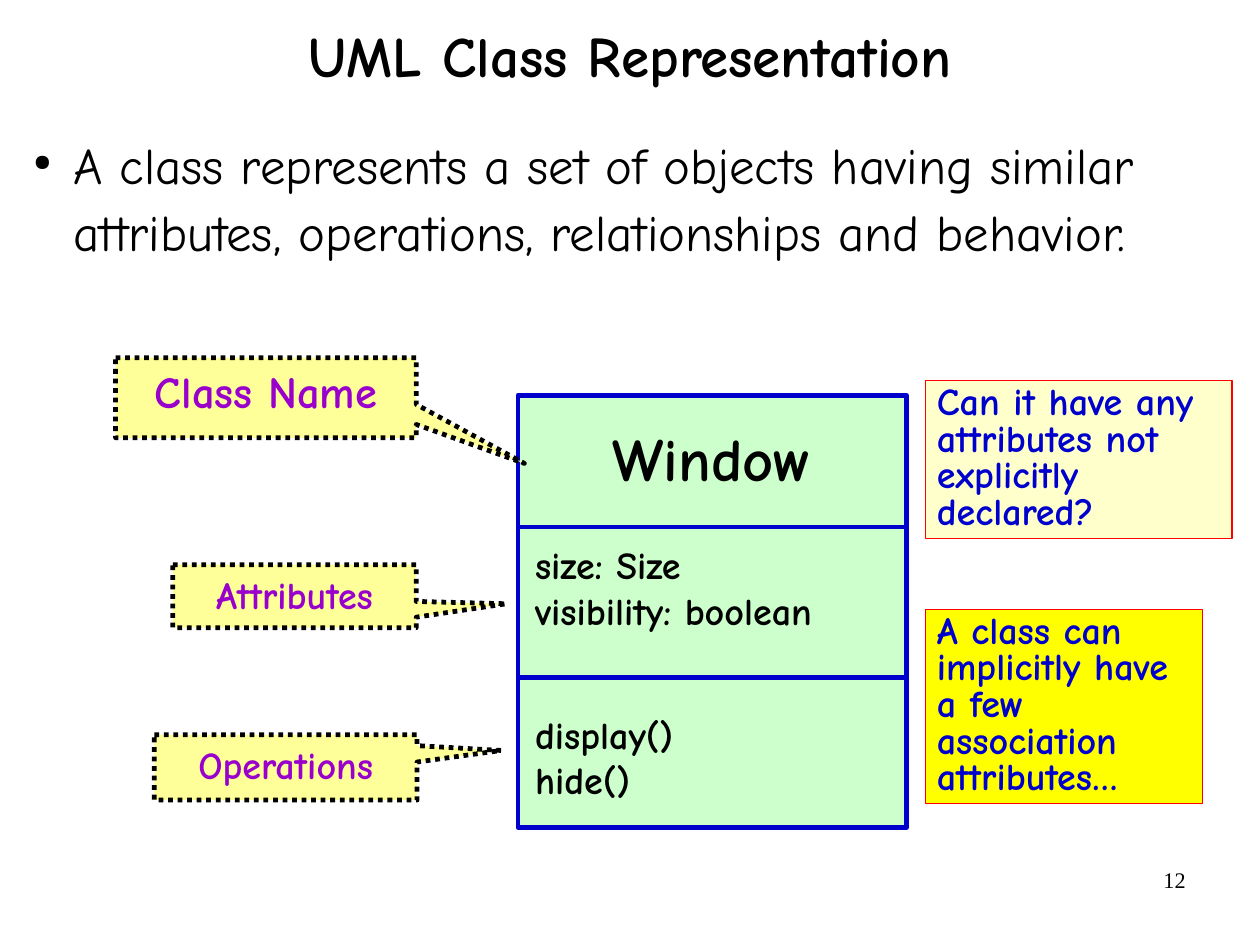
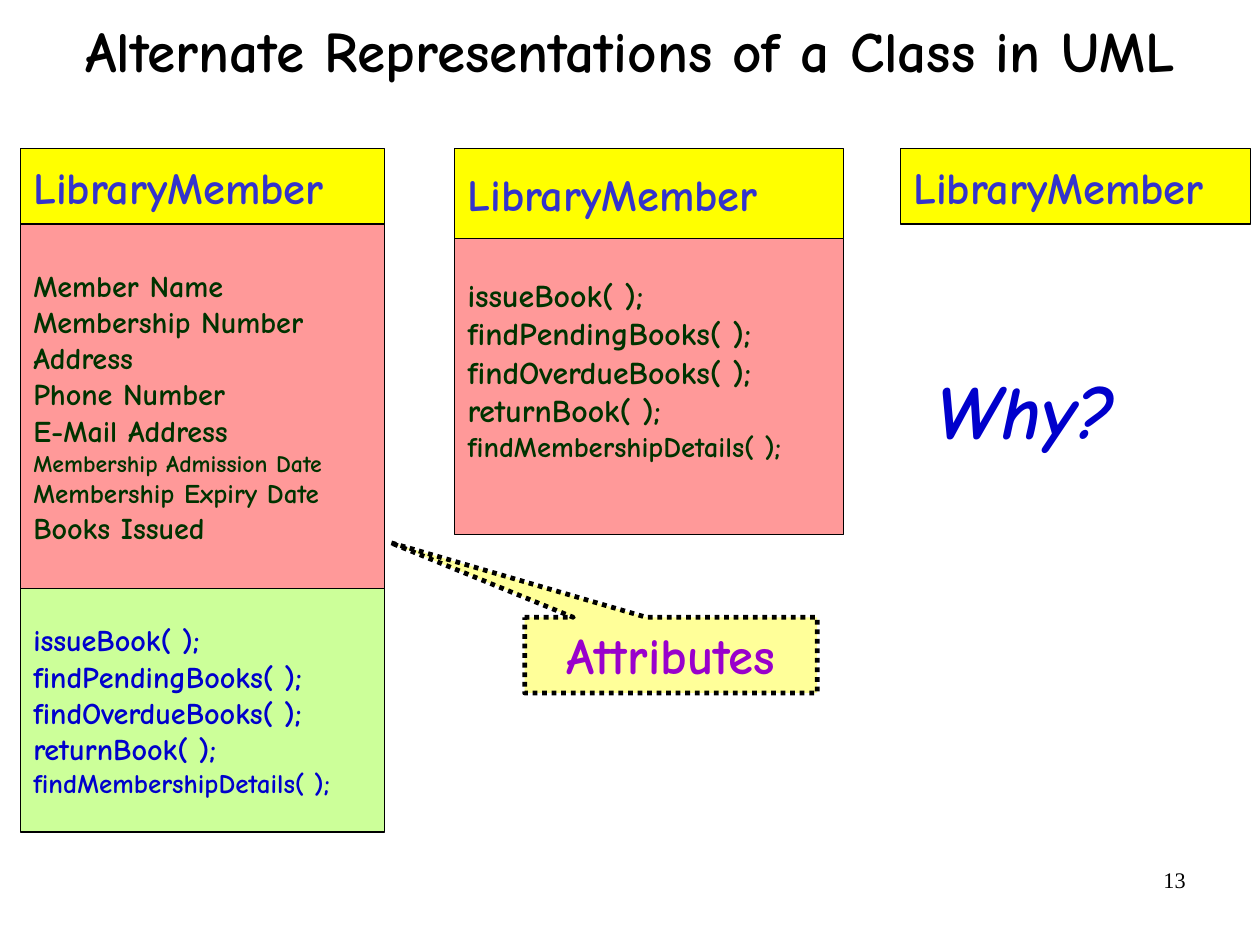
"""Builds two slides on UML class notation."""
from lxml import etree
from pptx import Presentation
from pptx.dml.color import RGBColor
from pptx.enum import dml, shapes, text
from pptx.oxml.ns import qn
from pptx.util import Cm, Pt

FONT, SERIF = "Comic Neue", "Times New Roman"
BLACK = RGBColor(0, 0, 0)
BLUE = RGBColor(0, 0, 0xCC)
INDIGO = RGBColor(0x33, 0x33, 0xCC)
PURPLE = RGBColor(0x99, 0, 0xCC)
FOREST = RGBColor(0, 0x33, 0)
RED = RGBColor(0xFF, 0, 0)
YELLOW = RGBColor(0xFF, 0xFF, 0)
CREAM = RGBColor(0xFF, 0xFF, 0xCC)
LEMON = RGBColor(0xFF, 0xFF, 0x99)
MINT = RGBColor(0xCC, 0xFF, 0xCC)
LIME = RGBColor(0xCC, 0xFF, 0x99)
PINK = RGBColor(0xFF, 0x99, 0x99)

LEFT, CENTER, RIGHT = text.PP_ALIGN.LEFT, text.PP_ALIGN.CENTER, text.PP_ALIGN.RIGHT
TOP, MIDDLE = text.MSO_ANCHOR.TOP, text.MSO_ANCHOR.MIDDLE
RECT = shapes.MSO_SHAPE.RECTANGLE
BUBBLE = shapes.MSO_SHAPE.RECTANGULAR_CALLOUT
SLIM, WIDE = (0.25, 0.13), (0.28, 0.15)

TITLES = ("UML Class Representation", 0.2), ("Alternate Representations of a Class in UML", 0.08)
FIRST = 12
INTRO = ("A class represents a set of objects having similar attributes, "
         "operations, relationships and behavior.")

FRAME = (11.51, 8.79, 8.64, 9.6)
RULES = 11.71, 15.06
PARTS = [
    ((11.89, 9.22, 7.87, 1.88), ["Window"], 38, CENTER),
    ((11.89, 12.04, 7.87, 2.03), ["size: Size", "visibility: boolean"], 24, LEFT),
    ((11.89, 15.8, 7.87, 2.03), ["display()", "hide()"], 24, LEFT),
]
LABELS = [
    ("Class Name", 28, (2.57, 7.95, 6.68, 1.78), (0.86, 0.82)),
    ("Attributes", 24, (3.84, 12.55, 5.41, 1.4), (0.87, 0.12)),
    ("Operations", 24, (3.43, 16.33, 5.84, 1.45), (0.82, -0.26)),
]
NOTES = [
    ("A class can implicitly have a few association attributes…",
     (20.57, 13.54, 6.15, 4.32), YELLOW),
    ("Can it have any attributes not explicitly declared?",
     (20.57, 8.46, 6.81, 3.51), CREAM),
]

NAME = "LibraryMember"
FIELDS = ["Member Name", "Membership Number", "Address", "Phone Number", "E-Mail Address",
          ("Membership Admission Date", 15), ("Membership Expiry Date", 17), "Books Issued"]
CALLS = ["issueBook( );", "findPendingBooks( );", "findOverdueBooks( );", "returnBook( );"]
LAST = "findMembershipDetails( );"
HEAD = [NAME], 28, INDIGO, YELLOW
BOXES = [
    (0.46, 8.08, [(1.68, *HEAD, 0.15), (8.1, FIELDS, 19, FOREST, PINK, 0.15),
                  (5.41, CALLS + [(LAST, 17)], 19, BLUE, LIME, 0.15)]),
    (10.11, 8.64, [(2, *HEAD, 0.15), (6.58, CALLS + [(LAST, 18)], 20, FOREST, PINK, 0.91)]),
    (20.02, 7.77, [(1.68, *HEAD, 0.15)]),
]
STACK = 3.3
ASIDE = ("Attributes", 32, (11.66, 13.72, 6.5, 1.68), (-0.96, -1.49))


def write(shape, lines, size, color=BLACK, align=LEFT, anchor=TOP, pad=SLIM, foot=None,
          bold=True, italic=False, font=FONT, space=None):
    frame = shape.text_frame
    frame.word_wrap = True
    frame.vertical_anchor = anchor
    frame.margin_left = frame.margin_right = Cm(pad[0])
    frame.margin_top = Cm(pad[1])
    frame.margin_bottom = Cm(pad[1] if foot is None else foot)
    for i, line in enumerate(lines):
        words, points = (line, size) if isinstance(line, str) else line
        para = frame.add_paragraph() if i else frame.paragraphs[0]
        para.alignment = align
        if space:
            para.line_spacing = space
        run = para.add_run()
        run.text = words
        run.font.name, run.font.size = font, Pt(points)
        run.font.bold, run.font.italic = bold, italic
        run.font.color.rgb = color
    return frame


def label(slide, at, lines, size, **style):
    return write(slide.shapes.add_textbox(*map(Cm, at)), lines, size, **style)


def block(slide, at, fill, edge=BLACK, width=0.75, kind=RECT):
    shape = slide.shapes.add_shape(kind, *map(Cm, at))
    shape.shadow.inherit = False
    shape.fill.solid()
    shape.fill.fore_color.rgb = fill
    shape.line.color.rgb = edge
    shape.line.width = Pt(width)
    return shape


def bubble(slide, words, size, at, tip):
    shape = block(slide, at, LEMON, width=3, kind=BUBBLE)
    shape.line.dash_style = dml.MSO_LINE.ROUND_DOT
    shape.adjustments[0], shape.adjustments[1] = tip
    write(shape, [words], size, color=PURPLE, align=CENTER, pad=WIDE)


def rule(slide, left, right, y):
    line = slide.shapes.add_connector(
        shapes.MSO_CONNECTOR.STRAIGHT, Cm(left), Cm(y), Cm(right), Cm(y))
    line.line.color.rgb = BLUE
    line.line.width = Pt(3)
    etree.SubElement(line._element.spPr, qn("a:effectLst"))


def bullet(para):
    props = para._p.get_or_add_pPr()
    props.set("marL", str(Cm(1.17)))
    props.set("indent", str(-Cm(0.89)))
    color = etree.SubElement(props, qn("a:buClr"))
    etree.SubElement(color, qn("a:srgbClr"), val=str(BLACK))
    etree.SubElement(props, qn("a:buSzPct"), val="45000")
    etree.SubElement(props, qn("a:buChar"), char="●")


def start(deck, index):
    slide = deck.slides.add_slide(deck.slide_layouts[6])
    title, top = TITLES[index]
    label(slide, (20.07, 19.13, 6.53, 1.45), [str(FIRST + index)], 14,
          align=RIGHT, bold=False, font=SERIF)
    label(slide, (0, top, 28, 2.24), [title], 36, align=CENTER, anchor=MIDDLE,
          pad=(0, 0), space=0.88)
    return slide


def parts(slide):
    frame = label(slide, (0.46, 2.84, 27.1, 5.79), [INTRO], 32, bold=False,
                  pad=(0, 0), space=1.1)
    bullet(frame.paragraphs[0])
    block(slide, FRAME, MINT, BLUE, 3)
    for y in RULES:
        rule(slide, FRAME[0], FRAME[0] + FRAME[2], y)
    for at, lines, size, align in PARTS:
        label(slide, at, lines, size, align=align, anchor=MIDDLE, pad=(0, 0))
    for item in LABELS:
        bubble(slide, *item)
    for words, at, fill in NOTES:
        write(block(slide, at, fill, RED), [words], 24, color=BLUE, space=0.8)


def forms(slide):
    for left, width, rows in BOXES:
        top = STACK
        for height, lines, size, color, fill, foot in rows:
            shape = block(slide, (left, top, width, height), fill)
            write(shape, lines, size, color=color, anchor=MIDDLE, pad=WIDE, foot=foot)
            top += height
    bubble(slide, *ASIDE)
    label(slide, (20.57, 7.95, 6.55, 2.29), ["Why?"], 48, color=BLUE, italic=True)


def main():
    deck = Presentation()
    deck.slide_width, deck.slide_height = Cm(28), Cm(21)
    for index, fill in enumerate((parts, forms)):
        fill(start(deck, index))
    deck.save("out.pptx")


if __name__ == "__main__":
    main()
